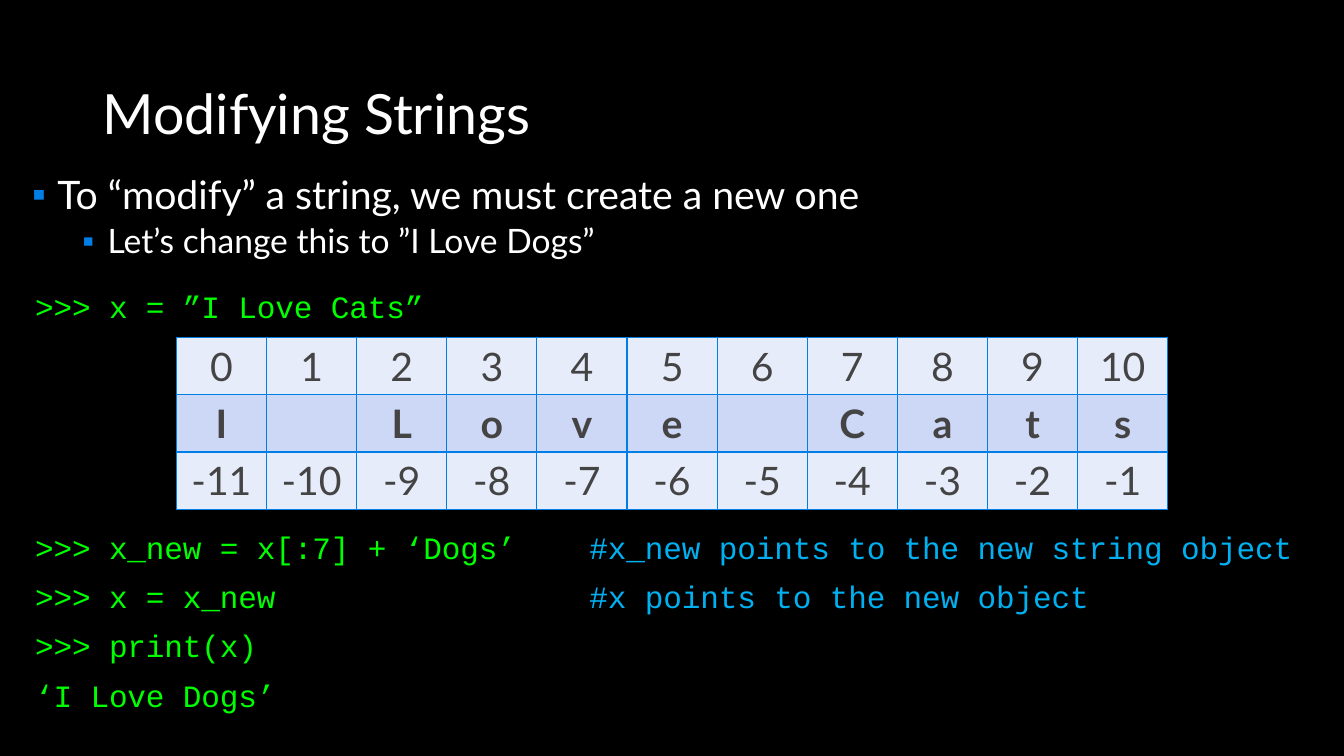
from dataclasses import dataclass

from lxml.etree import SubElement
from pptx import Presentation
from pptx.dml.color import RGBColor
from pptx.enum.text import MSO_ANCHOR, PP_ALIGN
from pptx.oxml.ns import qn
from pptx.util import Pt

BLACK = RGBColor(0x00, 0x00, 0x00)
WHITE = RGBColor(0xFF, 0xFF, 0xFF)
BLUE = RGBColor(0x00, 0x7E, 0xE5)
GREEN = RGBColor(0x00, 0xFF, 0x00)
SKY = RGBColor(0x00, 0xB0, 0xF0)
GRAY = RGBColor(0x44, 0x44, 0x45)
PALE = RGBColor(0xE7, 0xEC, 0xFA)
PERIWINKLE = RGBColor(0xCC, 0xD8, 0xF5)
GRID = RGBColor(0x01, 0x7E, 0xE5)

SANS, MONO = "Lato", "Courier New"
COMMENT_STOP = 396
LETTERS = "I Love Cats"


@dataclass
class Bullet:
    text: str
    size: float
    level: int
    margin: float
    before: float


@dataclass
class CodeLine:
    code: str
    comment: str = ""
    before: float = 8.6


BULLETS = [
    Bullet("To “modify” a string, we must create a new one", 28, 0, 18, 10),
    Bullet("Let’s change this to ”I Love Dogs”", 24, 1, 54, 5),
]
# The second line leaves room for the index table
CODE = [
    CodeLine(">>> x = ”I Love Cats”"),
    CodeLine(">>> x_new = x[:7] + ‘Dogs’", "#x_new points to the new string object", 145.5),
    CodeLine(">>> x = x_new", "#x points to the new object"),
    CodeLine(">>> print(x)"),
    CodeLine("‘I Love Dogs’"),
]


def add_box(page, left: float, top: float, width: float, height: float):
    box = page.shapes.add_textbox(Pt(left), Pt(top), Pt(width), Pt(height))
    box.text_frame.word_wrap = True
    return box.text_frame


def add_para(frame, index: int, spacing: float, before: float):
    para = frame.paragraphs[0] if index == 0 else frame.add_paragraph()
    para.line_spacing = spacing
    para.space_before = Pt(before)
    return para


def add_span(para, text: str, size: float, font: str, color: RGBColor, bold: bool = False):
    span = para.add_run()
    span.text = text
    span.font.size = Pt(size)
    span.font.name = font
    span.font.bold = bold
    span.font.color.rgb = color
    return span


def set_bullet(para, margin: float) -> None:
    props = para._p.get_or_add_pPr()
    props.set("marL", str(Pt(margin)))
    props.set("indent", str(-Pt(18)))
    color = SubElement(props, qn("a:buClr"))
    SubElement(color, qn("a:srgbClr"), val=str(BLUE))
    SubElement(props, qn("a:buFont"), typeface="Arial")
    SubElement(props, qn("a:buChar"), char="▪")


def set_tab_stop(para, position: float) -> None:
    stops = SubElement(para._p.get_or_add_pPr(), qn("a:tabLst"))
    SubElement(stops, qn("a:tab"), pos=str(Pt(position)), algn="l")


def style_cell(cell, text: str, fill: RGBColor, bold: bool) -> None:
    para = cell.text_frame.paragraphs[0]
    para.alignment = PP_ALIGN.CENTER
    if text.strip():
        add_span(para, text, 28, SANS, GRAY, bold)
    props = cell._tc.get_or_add_tcPr()
    for side in ("lnL", "lnR", "lnT", "lnB"):
        line = SubElement(props, qn(f"a:{side}"), w=str(Pt(1)))
        paint = SubElement(line, qn("a:solidFill"))
        SubElement(paint, qn("a:srgbClr"), val=str(GRID))
    cell.fill.solid()
    cell.fill.fore_color.rgb = fill


def add_index_table(page) -> None:
    count = len(LETTERS)
    rows = [
        ([str(i) for i in range(count)], PALE, False),
        (list(LETTERS), PERIWINKLE, True),
        ([str(i - count) for i in range(count)], PALE, False),
    ]
    table = page.shapes.add_table(
        len(rows), count, Pt(126), Pt(241.2), Pt(708.4), Pt(122.4)
    ).table
    for column in table.columns:
        column.width = Pt(64.4)
    for row, (texts, fill, bold) in zip(table.rows, rows):
        row.height = Pt(40.8)
        for cell, text in zip(row.cells, texts):
            style_cell(cell, text, fill, bold)


def main() -> None:
    deck = Presentation()
    deck.slide_width, deck.slide_height = Pt(960), Pt(540)
    page = deck.slides.add_slide(deck.slide_layouts[6])
    page.background.fill.solid()
    page.background.fill.fore_color.rgb = BLACK

    # Title
    title = add_box(page, 66.24, 57.6, 828, 51.84)
    title.vertical_anchor = MSO_ANCHOR.MIDDLE
    add_span(add_para(title, 0, 0.9, 0), "Modifying Strings", 39.6, SANS, WHITE)

    # Bullets
    body = add_box(page, 15.84, 121.68, 925.92, 380.88)
    for index, bullet in enumerate(BULLETS):
        para = add_para(body, index, 0.9, bullet.before)
        para.level = bullet.level
        set_bullet(para, bullet.margin)
        add_span(para, bullet.text, bullet.size, SANS, WHITE)

    # Characters with their positive and negative indexes
    add_index_table(page)

    # Code with aligned comments
    listing = add_box(page, 18, 201.6, 923.76, 324.72)
    for index, line in enumerate(CODE):
        para = add_para(listing, index, 1.0, line.before)
        spans = [(line.code, GREEN)]
        if line.comment:
            set_tab_stop(para, COMMENT_STOP)
            spans += [("\t", GREEN), (line.comment, SKY)]
        for text, color in spans:
            span = add_span(para, text, 22.2, MONO, color)
            span.font._element.set("spc", "-10")

    deck.save("out.pptx")


if __name__ == "__main__":
    main()
